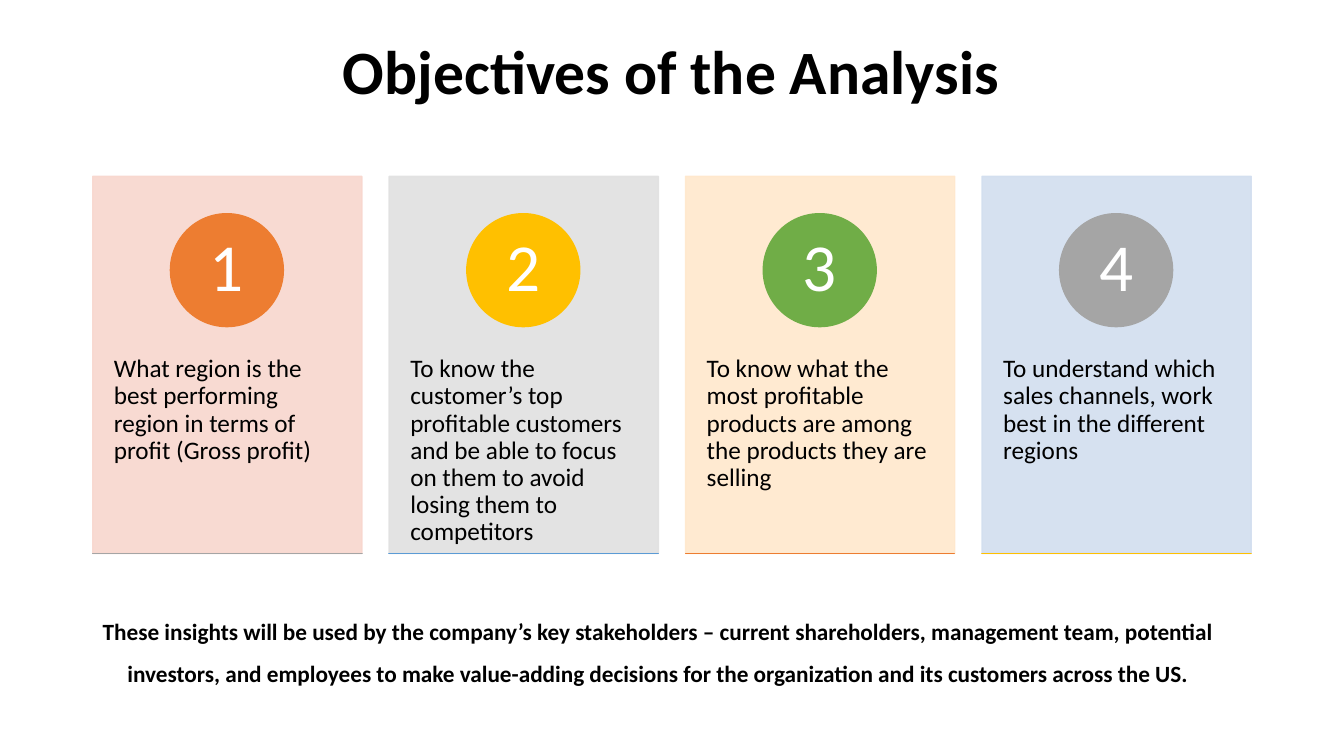
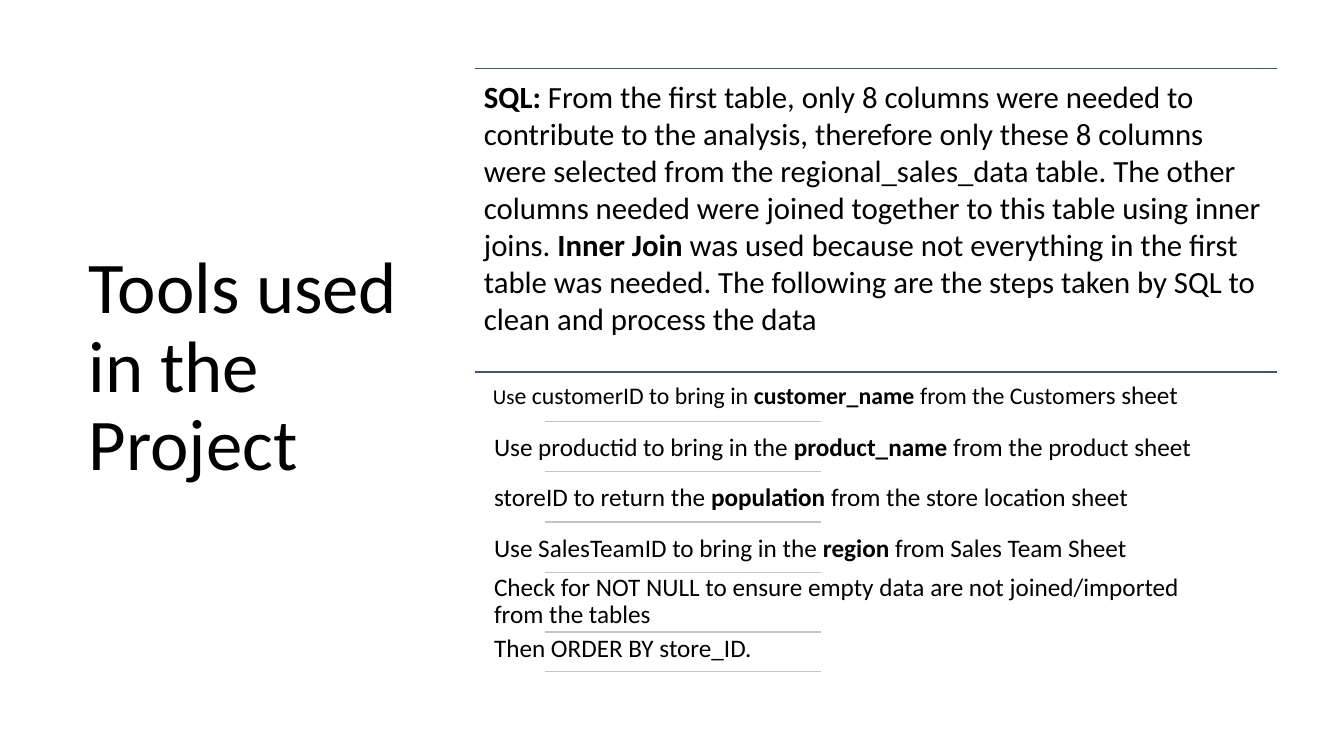
from dataclasses import dataclass
from typing import Any

from lxml.etree import SubElement as Sub
from pptx import Presentation
from pptx.dml.color import RGBColor as Rgb
from pptx.enum.shapes import MSO_CONNECTOR as Conn, MSO_SHAPE as Form
from pptx.enum.text import MSO_ANCHOR as Anchor, MSO_AUTO_SIZE as Fit, PP_ALIGN as Align
from pptx.oxml.ns import qn
from pptx.util import Emu, Pt

SCALE = 9144  # EMU per px, 100 px to the inch
FONT = "Calibri"
HUES = {
    "ink": "000000", "white": "FFFFFF", "navy": "44546A", "rule": "C1C3C7",
    "orange": "ED7D31", "gold": "FFC000", "green": "70AD47",
    "gray": "A5A5A5", "blue": "5B9BD5",
    "rose": "F8D7CE", "silver": "E1E1E1", "peach": "FFE8CC", "sky": "D2DEEF",
}


@dataclass(frozen=True)
class Run:
    text: str
    size: float = 18
    bold: bool = False


@dataclass(frozen=True)
class Card:
    text: str
    back: str
    disc: str
    foot: str


@dataclass(frozen=True)
class Step:
    runs: list[Run]
    high: int = 50  # row height
    drop: int = 6   # text top below row top
    pad: int = 7


CARDS = [
    Card("What region is the best performing region in terms of profit (Gross profit)",
         "rose", "orange", "gray"),
    Card("To know the customer’s top profitable customers and be able to focus on "
         "them to avoid losing them to competitors", "silver", "gold", "blue"),
    Card("To know what the most profitable products are among the products they are selling",
         "peach", "green", "orange"),
    Card("To understand which sales channels, work best in the different regions",
         "sky", "gray", "gold"),
]
CLOSE = ("These insights will be used by the company’s key stakeholders – current "
         "shareholders, management team, potential investors, and employees to make "
         "value-adding decisions for the organization and its customers across the US.")
INTRO = [
    Run("SQL: ", 22, True),
    Run("From the first table, only 8 columns were needed to contribute to the analysis, "
        "therefore only these 8 columns were selected from the regional_sales_data table. "
        "The other columns needed were joined together to this table using inner joins. ", 22),
    Run("Inner Join ", 22, True),
    Run("was used because not everything in the first table was needed. The following "
        "are the steps taken by SQL to clean and process the data", 22),
]
STEPS = [
    Step([Run("Us", 15), Run("e customerID to bring in ", 17), Run("customer_name", 17, True),
          Run(" from the Custo", 17), Run("mers sheet")], pad=6),
    Step([Run("Use productid to bring in the "), Run("product_name", bold=True),
          Run(" from the product sheet")]),
    Step([Run("storeID to return the "), Run("population", bold=True),
          Run(" from the store location sheet")]),
    Step([Run("Use SalesTeamID to bring in the "), Run("region", bold=True),
          Run(" from Sales Team Sheet")]),
    Step([Run("Check for NOT NULL to ensure empty data are not joined/imported "
              "from the tables")], 59, -5),
    Step([Run("Then ORDER BY store_ID.")], 39, -3),
]


def px(num: int) -> Emu:
    return Emu(num * SCALE)


def rgb(hue: str) -> Rgb:
    return Rgb.from_string(HUES[hue])


def apply(item: Any, form: dict[str, Any]) -> None:
    for key, val in form.items():
        setattr(item, key, val)


def place(item: Any, x: int, y: int, w: int, h: int) -> None:
    apply(item, {"left": px(x), "top": px(y), "width": px(w), "height": px(h)})


def write(item: Any, runs: list[Run], hue: str = "ink", align: Align = Align.LEFT,
          space: float = 0.9, anchor: Anchor = Anchor.TOP,
          pad: tuple[int, int] = (10, 5)) -> None:
    """Fill a shape with one paragraph; pad is side and top inset."""
    frame = item.text_frame
    side, edge = px(pad[0]), px(pad[1])
    apply(frame, {"word_wrap": True, "auto_size": Fit.NONE, "vertical_anchor": anchor,
                  "margin_left": side, "margin_right": side,
                  "margin_top": edge, "margin_bottom": edge})
    para = frame.paragraphs[0]
    apply(para, {"alignment": align, "line_spacing": space})
    for part in runs:
        run = para.add_run()
        run.text = part.text
        apply(run.font, {"name": FONT, "size": Pt(part.size), "bold": part.bold})
        run.font.color.rgb = rgb(hue)


def label(slide: Any, box: tuple[int, int, int, int], runs: list[Run], **form: Any) -> None:
    write(slide.shapes.add_textbox(*map(px, box)), runs, **form)


def shape(slide: Any, kind: Form, box: tuple[int, int, int, int], hue: str,
          alpha: int = 100) -> Any:
    item = slide.shapes.add_shape(kind, *map(px, box))
    item.shadow.inherit = False
    item.fill.solid()
    item.line.fill.solid()
    item.line.width = Pt(1)
    for paint in (item.fill, item.line.fill):
        paint.fore_color.rgb = rgb(hue)
    if alpha < 100:
        for node in list(item.element.spPr.iter(qn("a:srgbClr"))):
            Sub(node, qn("a:alpha"), val=str(alpha * 1000))
    return item


def rule(slide: Any, x: int, y: int, end: int, hue: str) -> None:
    line = slide.shapes.add_connector(Conn.STRAIGHT, px(x), px(y), px(end), px(y))
    line.line.color.rgb = rgb(hue)
    line.line.width = Pt(1)
    Sub(line.element.spPr, qn("a:effectLst"))


def start(deck: Any, box: tuple[int, int, int, int], head: Run, **form: Any) -> Any:
    """Add a slide with its title set in place."""
    slide = deck.slides.add_slide(deck.slide_layouts[5])
    place(slide.shapes.title, *box)
    write(slide.shapes.title, [head], anchor=Anchor.MIDDLE, **form)
    return slide


def goals(deck: Any) -> None:
    mid = {"align": Align.CENTER, "space": 1.5}
    slide = start(deck, (91, -11, 1150, 124), Run("Objectives of the Analysis", 44, True), **mid)
    left, top, wide, high, pitch, disc = 92, 175, 267, 374, 294, 112
    for num, card in enumerate(CARDS):
        x = left + num * pitch
        shape(slide, Form.RECTANGLE, (x, top, wide, high), card.back, 90)
        label(slide, (x, 317, wide, 225), [Run(card.text)], pad=(21, 36))
        dot = shape(slide, Form.OVAL, (x + (wide - disc) // 2, 212, disc, disc), card.disc)
        write(dot, [Run(str(num + 1), 48)], "white", Align.CENTER,
              anchor=Anchor.MIDDLE, pad=(9, 1))
        shape(slide, Form.RECTANGLE, (x, top + high, wide, 0), card.foot)
    label(slide, (77, 578, 1150, 124), [Run(CLOSE, 16.6, True)], anchor=Anchor.MIDDLE, **mid)


def tools(deck: Any) -> None:
    slide = start(deck, (78, 61, 369, 609), Run("Tools used in the Project", 52))
    # Opening text between two rules
    left, right, top, base = 471, 1267, 68, 369
    for y in (top, base):
        rule(slide, left, y, right, "navy")
    label(slide, (left, top, right - left, base - top), INTRO, space=1.0, pad=(9, 9))
    # Steps, each closed by a short rule
    y = base - 1
    for step in STEPS:
        label(slide, (483, y + step.drop, 720, 46), step.runs, pad=(step.pad, step.pad))
        y += step.high
        rule(slide, 541, y, 814, "rule")


def main() -> None:
    deck = Presentation()
    apply(deck, {"slide_width": px(1333), "slide_height": px(750)})
    goals(deck)
    tools(deck)
    deck.save("out.pptx")


if __name__ == "__main__":
    main()
